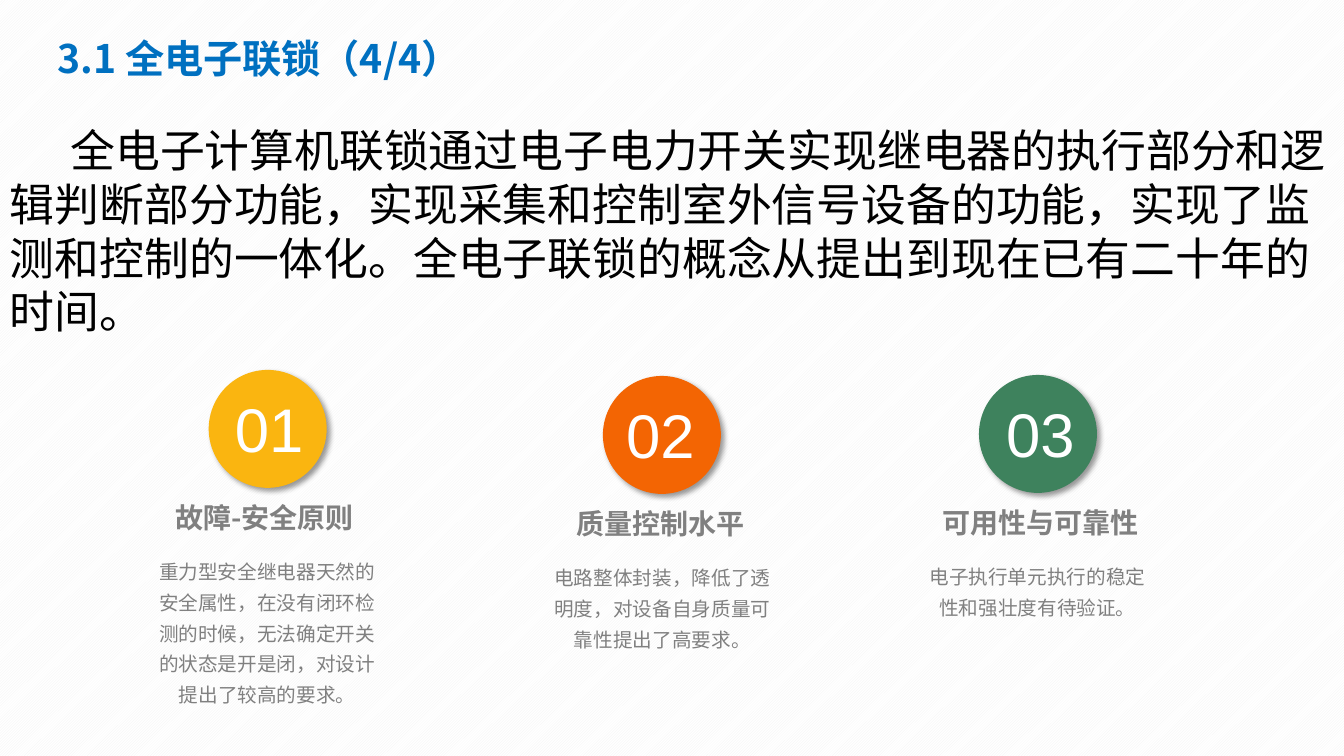
from lxml import etree
from pptx import Presentation
from pptx.dml.color import RGBColor
from pptx.enum.dml import MSO_PATTERN
from pptx.enum.shapes import MSO_SHAPE
from pptx.enum.text import PP_ALIGN
from pptx.oxml import parse_xml
from pptx.oxml.ns import nsdecls, qn
from pptx.util import Pt

PX = 9144  # 100 px to the inch
LEFT, CENTER = PP_ALIGN.LEFT, PP_ALIGN.CENTER
OVAL = MSO_SHAPE.OVAL
STRIPES = MSO_PATTERN.DARK_UPWARD_DIAGONAL
CJK, LATIN = "Noto Sans CJK SC", "Arial"
BLUE = RGBColor(0x00, 0x70, 0xC0)
BLACK = RGBColor(0, 0, 0)
WHITE = RGBColor(255, 255, 255)
PALE = RGBColor(0xF2, 0xF2, 0xF2)
GREY = RGBColor(0x80, 0x80, 0x80)
YELLOW = RGBColor(0xFA, 0xB5, 0x10)
ORANGE = RGBColor(0xF3, 0x65, 0x03)
GREEN = RGBColor(0x3E, 0x82, 0x5D)

prs = Presentation()
prs.slide_width, prs.slide_height = 1333 * PX, 750 * PX
s = prs.slides.add_slide(prs.slide_layouts[6])


def add_text(box, text, size, color, font=CJK, bold=False, align=CENTER, spacing=None):
    tf = s.shapes.add_textbox(*(v * PX for v in box)).text_frame
    tf.word_wrap = True
    p = tf.paragraphs[0]
    p.alignment = align
    p.line_spacing = spacing
    r = p.add_run()
    r.text = text
    r.font.name, r.font.size, r.font.bold = font, Pt(size), bold
    r.font.color.rgb = color
    etree.SubElement(r.font._element, qn("a:ea")).set("typeface", font)
    return p


def add_disc(x, y, color):
    sp = s.shapes.add_shape(OVAL, x * PX, y * PX, 117 * PX, 117 * PX)
    sp.fill.solid()
    sp.fill.fore_color.rgb = color
    sp.line.fill.background()
    sp._element.spPr.append(parse_xml(
        f'<a:effectLst {nsdecls("a")}><a:outerShdw blurRad="{Pt(4)}" dist="{Pt(3)}" '
        'dir="2700000" algn="tl" rotWithShape="0"><a:srgbClr val="000000">'
        '<a:alpha val="40000"/></a:srgbClr></a:outerShdw></a:effectLst>'))


# Striped background
fill = s.background.fill
fill.patterned()
fill.pattern = STRIPES
fill.fore_color.rgb, fill.back_color.rgb = PALE, WHITE

# Title and introduction
add_text((47, 29, 420, 57), "3.1 全电子联锁（4/4）", 28, BLUE, bold=True, align=LEFT)
p = add_text((0, 117, 1333, 226),
             "全电子计算机联锁通过电子电力开关实现继电器的执行部分和逻辑判断部分功能，"
             "实现采集和控制室外信号设备的功能，实现了监测和控制的一体化。"
             "全电子联锁的概念从提出到现在已有二十年的时间。", 32, BLACK, align=LEFT)
p._p.get_or_add_pPr().set("indent", str(60 * PX))

# Three numbered points: disc x and y, number x, heading x and width, body x and height
points = [
    (207, 367, 207, 151, 223, 144, 163, YELLOW, "故障-安全原则",
     "重力型安全继电器天然的安全属性，在没有闭环检测的时候，"
     "无法确定开关的状态是开是闭，对设计提出了较高的要求。"),
    (598, 373, 595, 553, 204, 536, 102, ORANGE, "质量控制水平",
     "电路整体封装，降低了透明度，对设备自身质量可靠性提出了高要求。"),
    (971, 372, 972, 911, 242, 908, 71, GREEN, "可用性与可靠性",
     "电子执行单元执行的稳定性和强壮度有待验证。"),
]
for i, (x, y, num_x, head_x, head_w, body_x, body_h, color, head, body) in enumerate(points, 1):
    add_disc(x, y, color)
    add_text((num_x, y + 16, 120, 84), f"{i:02}", 44, WHITE, font=LATIN)
    add_text((head_x, y + 125, head_w, 44), head, 20, GREY, bold=True)
    add_text((body_x, y + 177, 242, body_h), body, 14, GREY, spacing=1.3)

prs.save("out.pptx")
